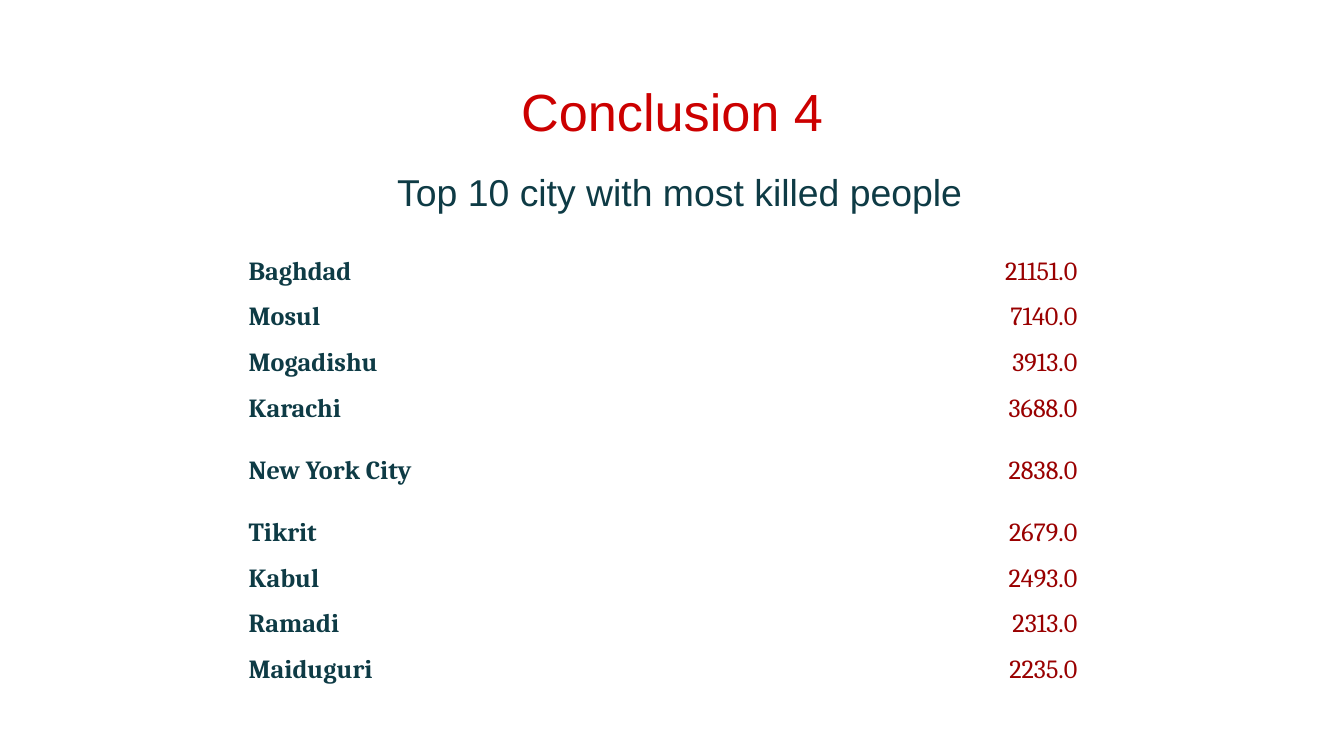
import pptx
import pptx.dml.color
import pptx.enum.text
import pptx.util

Pt = pptx.util.Pt
Align = pptx.enum.text.PP_ALIGN
Anchor = pptx.enum.text.MSO_ANCHOR

COLORS = {"title": "CC0000", "text": "0E3B45", "count": "990000"}

TITLE = "Conclusion 4"
SUBTITLE = "Top 10 city with most killed people"
CITIES = [
    ("Baghdad", "21151.0"),
    ("Mosul", "7140.0"),
    ("Mogadishu", "3913.0"),
    ("Karachi", "3688.0"),
    ("New York City", "2838.0"),
    ("Tikrit", "2679.0"),
    ("Kabul", "2493.0"),
    ("Ramadi", "2313.0"),
    ("Maiduguri", "2235.0"),
]
TALL_ROW = "New York City"
ROW_HEIGHT, TALL_HEIGHT = 24.6, 41.6
COLUMN_WIDTHS = (108, 350.4)


def style(para, size, font, color, align, bold=False):
    para.alignment = align
    para.font.size = Pt(size)
    para.font.name = font
    para.font.bold = bold
    para.font.color.rgb = pptx.dml.color.RGBColor.from_string(COLORS[color])


def add_heading(page, text, box_pt, size, color, spacing=1.0, indent=0):
    box = page.shapes.add_textbox(*map(Pt, box_pt))
    frame = box.text_frame
    frame.word_wrap = True
    frame.margin_left = frame.margin_right = Pt(7.2)
    frame.margin_top = frame.margin_bottom = Pt(7.2)
    para = frame.paragraphs[0]
    para.text = text
    para.line_spacing = spacing
    if indent:
        para._p.get_or_add_pPr().set("marL", str(Pt(indent)))
    style(para, size, "Arial", color, Align.CENTER)


def add_city_table(page, left, top):
    heights = [TALL_HEIGHT if city == TALL_ROW else ROW_HEIGHT for city, _ in CITIES]
    table = page.shapes.add_table(
        len(CITIES), 2, Pt(left), Pt(top), Pt(sum(COLUMN_WIDTHS)), Pt(sum(heights))
    ).table
    table.first_row = table.horz_banding = False
    for column, width in zip(table.columns, COLUMN_WIDTHS):
        column.width = Pt(width)
    looks = [("text", Align.LEFT, True), ("count", Align.RIGHT, False)]
    for row, height, values in zip(table.rows, heights, CITIES):
        row.height = Pt(height)
        for cell, value, (color, align, bold) in zip(row.cells, values, looks):
            cell.fill.background()
            cell.vertical_anchor = Anchor.MIDDLE
            cell.margin_top = cell.margin_bottom = Pt(3)
            para = cell.text_frame.paragraphs[0]
            para.text = value
            style(para, 14, "Cambria", color, align, bold)


deck = pptx.Presentation()
deck.slide_width, deck.slide_height = Pt(720), Pt(405)
page = deck.slides.add_slide(deck.slide_layouts[6])

add_heading(page, TITLE, (24.5, 35.3, 671, 45), 28, "title")
add_heading(page, SUBTITLE, (24.5, 80, 671, 269), 20, "text", spacing=1.15, indent=8.6)
add_city_table(page, 126, 133.2)

# A table style without borders keeps the grid invisible.
for table_style in page.shapes[-1]._element.iter("{*}tableStyleId"):
    table_style.text = "{2D5ABB26-0587-4C30-8999-92F81FD0307C}"

deck.save("out.pptx")
